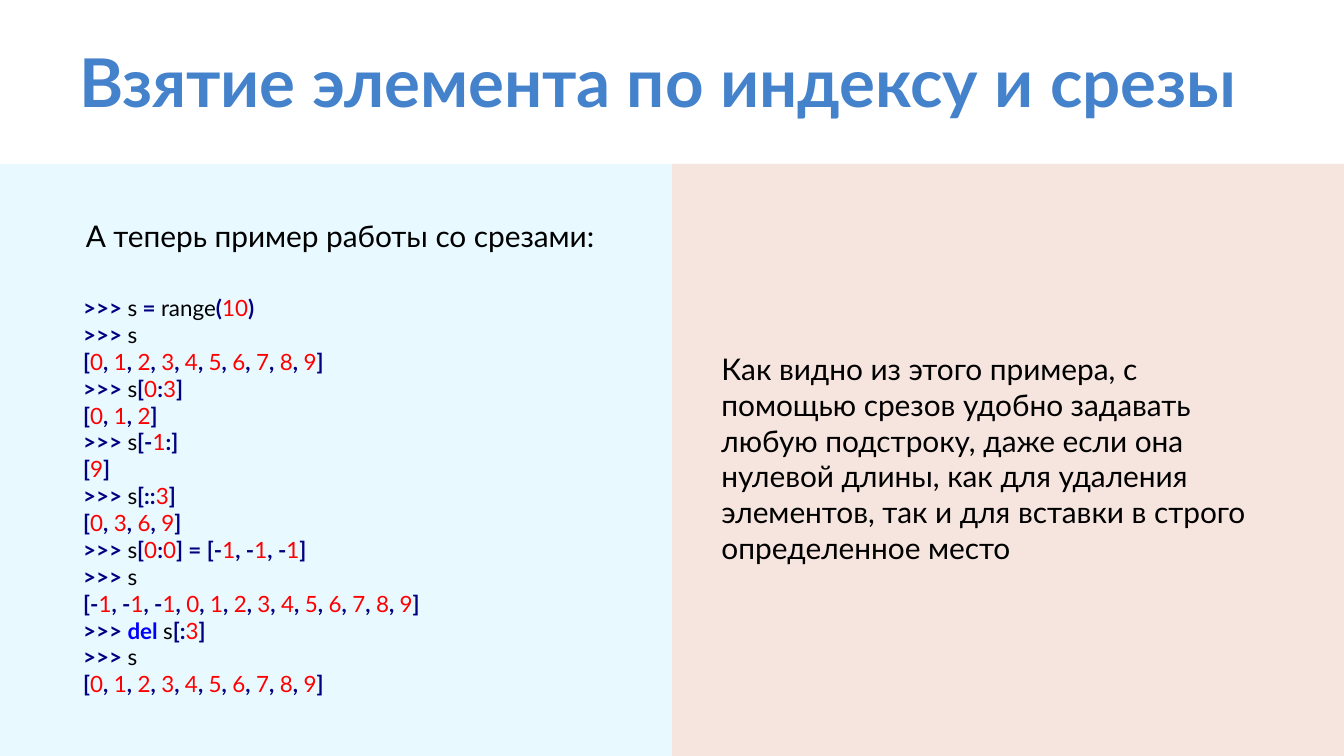
import itertools
from dataclasses import dataclass

import pptx
import pptx.dml.color
import pptx.enum.shapes
import pptx.enum.text
import pptx.util

PX = 4572  # EMU in one px, 200 px to the inch
WIDE, HIGH = 2000, 1125
HALF, TOP = WIDE // 2, 244

TITLE = "Взятие элемента по индексу и срезы"
INTRO = "А теперь пример работы со срезами:"
NOTE = (
    "Как видно из этого примера, с помощью срезов удобно задавать любую "
    "подстроку, даже если она нулевой длины, как для удаления элементов, "
    "так и для вставки в строго определенное место"
)
CODE = """\
>>> s = range(10)
>>> s
[0, 1, 2, 3, 4, 5, 6, 7, 8, 9]
>>> s[0:3]
[0, 1, 2]
>>> s[-1:]
[9]
>>> s[::3]
[0, 3, 6, 9]
>>> s[0:0] = [-1, -1, -1]
>>> s
[-1, -1, -1, 0, 1, 2, 3, 4, 5, 6, 7, 8, 9]
>>> del s[:3]
>>> s
[0, 1, 2, 3, 4, 5, 6, 7, 8, 9]"""


@dataclass(frozen=True)
class Theme:
    font: str = "Lato"
    head: str = "4482CC"
    text: str = "000000"
    sign: str = "000080"
    digit: str = "FF0000"
    key: str = "0000FF"
    left: str = "E8F9FF"
    right: str = "F5E5DE"
    big: int = 36
    body: int = 16
    small: int = 12


def rgb(code):
    return pptx.dml.color.RGBColor.from_string(code)


def kind(char):
    if char.isdigit():
        return "digit"
    return "word" if char.isalpha() else "sign"


class Deck:
    def __init__(self, theme):
        self.theme = theme
        self.file = pptx.Presentation()
        self.file.slide_width = WIDE * PX
        self.file.slide_height = HIGH * PX
        self.slide = self.file.slides.add_slide(self.file.slide_layouts[5])

    def style(self, par, size, color, bold=False):
        par.alignment = pptx.enum.text.PP_ALIGN.LEFT
        par.font.name = self.theme.font
        par.font.size = pptx.util.Pt(size)
        par.font.bold = bold
        par.font.color.rgb = rgb(color)

    def title(self, box, text):
        shape = self.slide.shapes.title
        shape.left, shape.top, shape.width, shape.height = (n * PX for n in box)
        frame = shape.text_frame
        frame.text = text
        frame.word_wrap = True
        frame.auto_size = pptx.enum.text.MSO_AUTO_SIZE.NONE
        frame.vertical_anchor = pptx.enum.text.MSO_ANCHOR.TOP
        frame.margin_left = frame.margin_right = 20 * PX
        frame.margin_top = frame.margin_bottom = 20 * PX
        self.style(frame.paragraphs[0], self.theme.big, self.theme.head, True)

    def panel(self, box, color):
        shape = self.slide.shapes.add_shape(
            pptx.enum.shapes.MSO_SHAPE.RECTANGLE, *(n * PX for n in box))
        shape.shadow.inherit = False
        shape.fill.solid()
        shape.fill.fore_color.rgb = rgb(color)
        shape.line.fill.background()

    def group(self):
        return self.slide.shapes.add_group_shape().shapes

    def text(self, box, text, size, home=None):
        """Add a text box to the slide, or to the group shapes in home."""
        home = home or self.slide.shapes
        frame = home.add_textbox(*(n * PX for n in box)).text_frame
        frame.text = text
        frame.word_wrap = True
        frame.auto_size = pptx.enum.text.MSO_AUTO_SIZE.SHAPE_TO_FIT_TEXT
        for par in frame.paragraphs:
            self.style(par, size, self.theme.text)
        return frame

    def code(self, box, text, home=None):
        """Add a listing with its digits, signs and keyword coloured."""
        frame = self.text(box, text, self.theme.small, home)
        for par in frame.paragraphs:
            line = par.text
            par.clear()
            for sort, chars in itertools.groupby(line, kind):
                run = par.add_run()
                run.text = "".join(chars)
                if run.text == "del":
                    sort = "key"
                color = self.theme.text if sort == "word" else getattr(self.theme, sort)
                run.font.name = self.theme.font
                run.font.size = pptx.util.Pt(self.theme.small)
                run.font.bold = sort in ("sign", "key")
                run.font.color.rgb = rgb(color)


def main():
    theme = Theme()
    deck = Deck(theme)
    deck.title((98, 40, 1810, 152), TITLE)
    for left, color in ((HALF, theme.right), (0, theme.left)):
        deck.panel((left, TOP, HALF, HIGH - TOP), color)
    group = deck.group()
    deck.text((108, 314, 926, 74), INTRO, theme.body, group)
    deck.code((104, 428, 710, 626), CODE, group)
    deck.text((1054, 512, 868, 344), NOTE, theme.body)
    deck.file.save("out.pptx")


if __name__ == "__main__":
    main()
